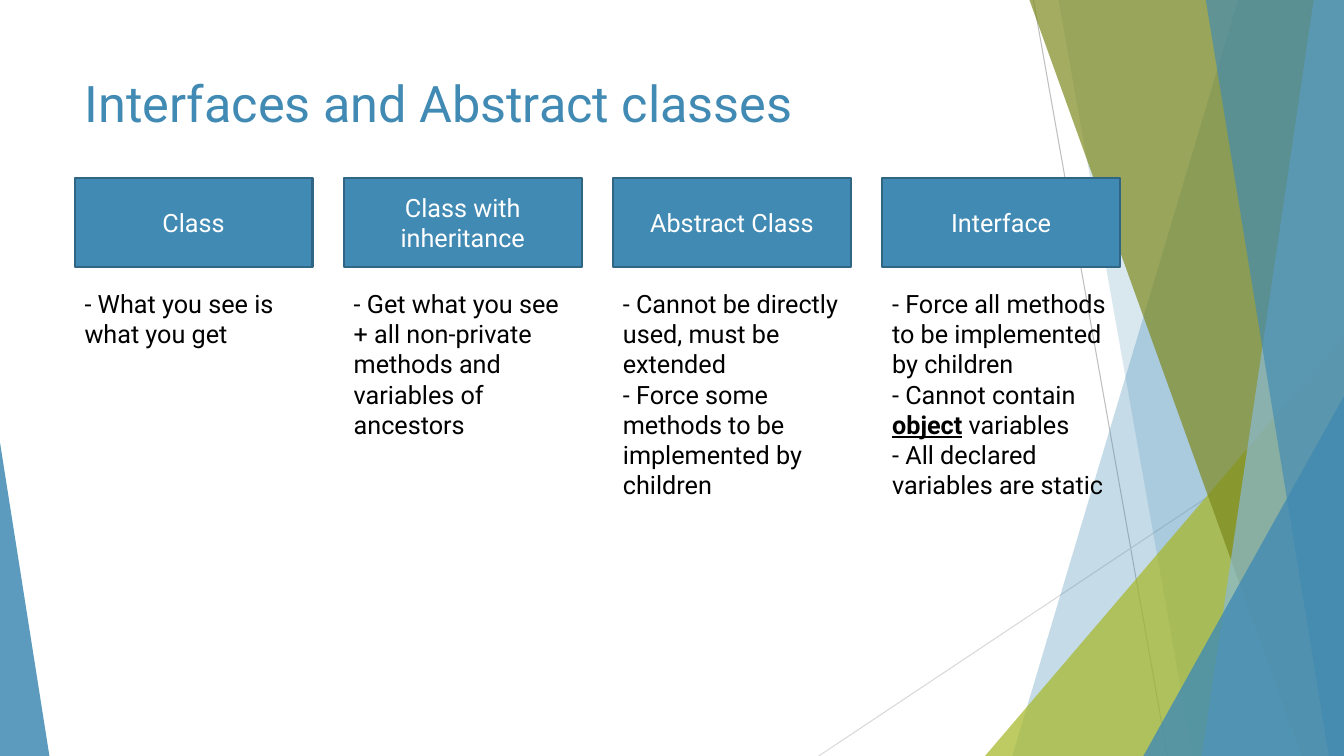
from dataclasses import dataclass
from lxml.etree import SubElement
from pptx import Presentation
from pptx.dml.color import RGBColor
from pptx.enum.shapes import MSO_CONNECTOR as Link, MSO_SHAPE as Kind
from pptx.enum.text import MSO_ANCHOR as Anchor, MSO_AUTO_SIZE as Fit, PP_ALIGN as Align
from pptx.oxml.ns import qn
from pptx.util import Inches, Pt


@dataclass(frozen=True)
class Theme:
    font: str = "Roboto"
    head: int = 36
    body: int = 18
    blue: str = "418AB3"
    edge: str = "306684"
    sky: str = "8ABAD4"
    lime: str = "A6B727"
    olive: str = "7D891D"
    white: str = "FFFFFF"
    black: str = "000000"
    gray: str = "BFBFBF"
    pale: str = "D9D9D9"


theme = Theme()
WIDE, HIGH = 13.33, 7.5


def color(code):
    return RGBColor.from_string(code)


def style(par, size, tint, align=Align.LEFT):
    par.alignment = align
    for run in par.runs:
        run.font.name = theme.font
        run.font.size = Pt(size)
        run.font.color.rgb = color(tint)


def paint(shape, tint, alpha=100):
    shape.shadow.inherit = False
    shape.fill.solid()
    shape.fill.fore_color.rgb = color(tint)
    shape.line.fill.background()
    if alpha < 100:
        node = shape.fill._xPr.find(".//" + qn("a:srgbClr"))
        SubElement(node, qn("a:alpha"), val=str(alpha * 1000))


def add_ray(shapes, start, end, tint):
    ray = shapes.add_connector(Link.STRAIGHT, *map(Inches, start + end))
    ray.line.color.rgb = color(tint)
    ray.line.width = Pt(0.75)
    SubElement(ray._element.spPr, qn("a:effectLst"))


def add_band(shapes, box, top, foot, tint, alpha):
    left, y, width, height = box
    right, base = left + width, y + height
    spots = [(top, y), (right, y), (right, base), (foot, base)]
    spots = [tuple(map(Inches, spot)) for spot in spots]
    pen = shapes.build_freeform(*spots[0], scale=1)
    pen.add_line_segments(spots[1:], close=True)
    paint(pen.convert_to_shape(), tint, alpha)


def add_wedge(shapes, box, peak, tint, alpha):
    wedge = shapes.add_shape(Kind.ISOSCELES_TRIANGLE, *map(Inches, box))
    wedge.adjustments[0] = peak
    paint(wedge, tint, alpha)


def add_decor(shapes, box):
    left, top, width, height = box
    right, base = left + width, top + height
    add_ray(shapes, (10.25, top), (11.58, base), theme.gray)
    add_ray(shapes, (right, 4.03), (8.12, base), theme.pale)
    add_band(shapes, box, 12.28, 10.04, theme.blue, 30)
    add_band(shapes, box, 10.5, 11.83, theme.blue, 20)
    add_wedge(shapes, (9.77, 3.33, right - 9.77, base - 3.33), 1, theme.lime, 72)
    bands = [
        (10.21, 12.91, theme.olive, 70),
        (13.03, 11.92, theme.sky, 70),
        (11.96, 13.18, theme.blue, 65),
    ]
    for band in bands:
        add_band(shapes, box, *band)
    add_wedge(shapes, (11.34, 3.93, right - 11.34, base - 3.93), 1, theme.blue, 80)
    add_wedge(shapes, (left, 4.39, 0.49, base - 4.39), 0, theme.blue, 85)


def set_title(title, box, text):
    title.left, title.top, title.width, title.height = map(Inches, box)
    frame = title.text_frame
    frame.text = text
    frame.vertical_anchor = Anchor.TOP
    frame.auto_size = Fit.NONE
    style(frame.paragraphs[0], theme.head, theme.blue)


def add_label(shapes, box, text):
    label = shapes.add_shape(Kind.RECTANGLE, *map(Inches, box))
    paint(label, theme.blue)
    label.line.color.rgb = color(theme.edge)
    label.line.width = Pt(1.5)
    frame = label.text_frame
    frame.text = text
    frame.word_wrap = True
    frame.vertical_anchor = Anchor.MIDDLE
    style(frame.paragraphs[0], theme.body, theme.white, Align.CENTER)


def add_notes(shapes, box, notes):
    frame = shapes.add_textbox(*map(Inches, box)).text_frame
    frame.word_wrap = True
    frame.auto_size = Fit.SHAPE_TO_FIT_TEXT
    for spot, note in enumerate(notes):
        par = frame.add_paragraph() if spot else frame.paragraphs[0]
        for turn, part in enumerate(note.split("*")):
            run = par.add_run()
            run.text = part
            if turn % 2:
                run.font.bold = run.font.underline = True
        style(par, theme.body, theme.black)


def add_cards(shapes, box, cards):
    left, top, width, height = box
    gap, bar, drop = 0.31, 0.88, 1.04
    span = (width - gap * (len(cards) - 1)) / len(cards)
    for spot, (name, tall, notes) in enumerate(cards):
        x = left + spot * (span + gap)
        add_label(shapes, (x, top, span, bar), name)
        add_notes(shapes, (x, top + drop, span, tall), notes)


CARDS = [
    ("Class", 0.71, ["- What you see is what you get"]),
    ("Class with inheritance", 1.62, [
        "- Get what you see",
        "+ all non-private methods and variables of ancestors",
    ]),
    ("Abstract Class", 2.22, [
        "- Cannot be directly used, must be extended",
        "- Force some methods to be implemented by children",
    ]),
    ("Interface", 2.52, [
        "- Force all methods to be implemented by children",
        "- Cannot contain *object* variables",
        "- All declared variables are static",
    ]),
]

deck = Presentation()
deck.slide_width, deck.slide_height = Inches(WIDE), Inches(HIGH)
slide = deck.slides.add_slide(deck.slide_layouts.get_by_name("Title Only"))
add_decor(slide.shapes, (0, 0, WIDE, HIGH))
set_title(slide.shapes.title, (0.74, 0.67, 9.4, 1.44), "Interfaces and Abstract classes")
add_cards(slide.shapes, (0.74, 1.77, 10.37, 3.56), CARDS)
deck.save("out.pptx")
